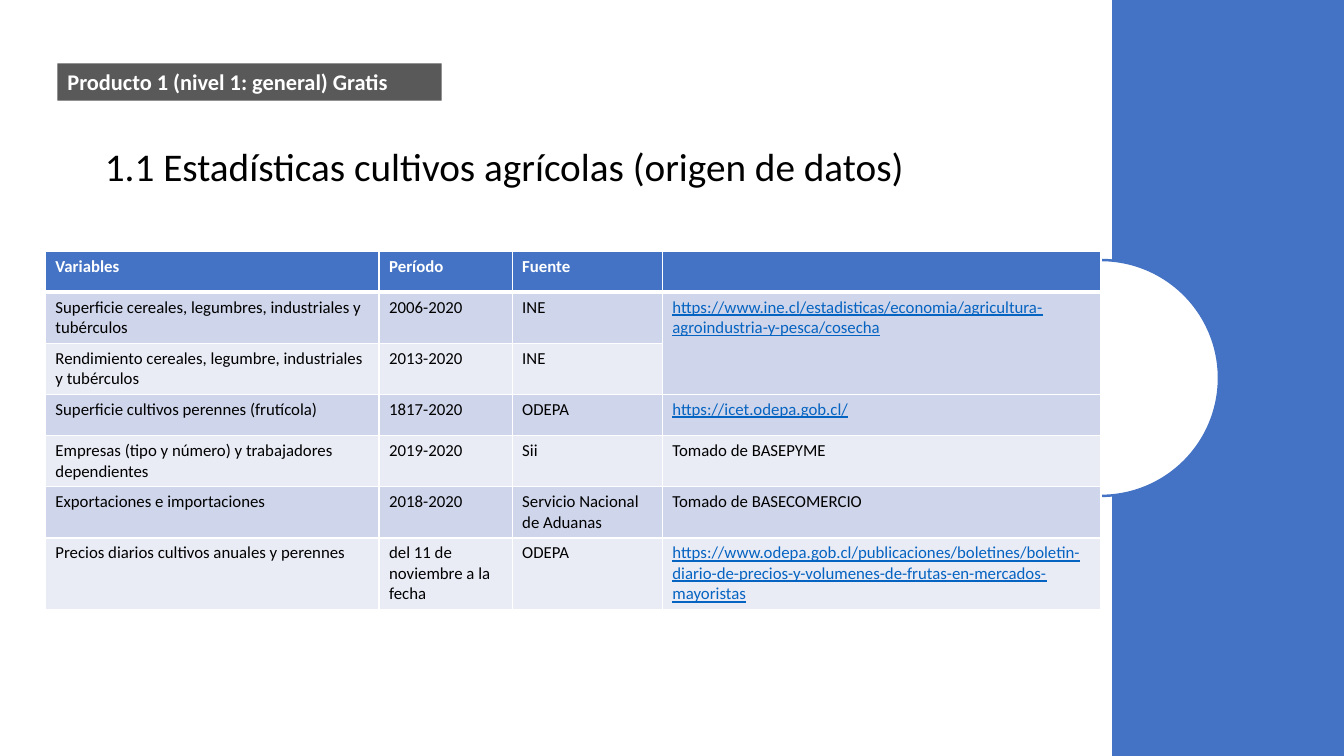
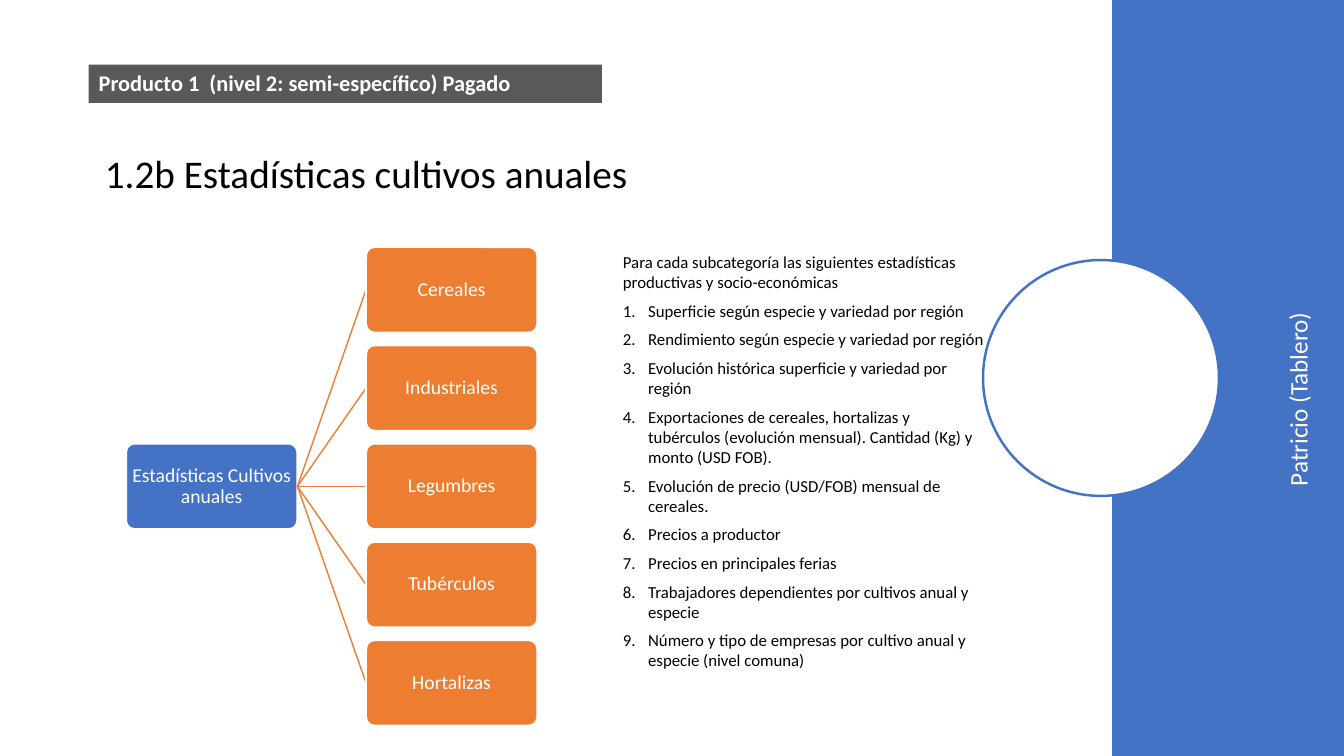
from dataclasses import dataclass
from typing import NamedTuple

from lxml.etree import SubElement
from pptx import Presentation
from pptx.dml.color import RGBColor
from pptx.enum.shapes import MSO_CONNECTOR as Connector, MSO_SHAPE as Shape
from pptx.enum.text import MSO_ANCHOR as Anchor, PP_ALIGN as Align
from pptx.oxml import parse_xml
from pptx.oxml.ns import nsdecls, qn
from pptx.util import Emu, Pt

PX = 9144  # EMU in one px, 100 px to the inch
TITLE_ONLY = 5


@dataclass(frozen=True)
class Theme:
    font: str = "Calibri"
    blue: str = "4472C4"
    orange: str = "ED7D31"
    gray: str = "595959"
    band_dark: str = "CFD5EA"
    band_light: str = "E9EBF5"
    link: str = "0563C1"
    white: str = "FFFFFF"
    black: str = "000000"
    title_size: int = 28
    side_size: int = 18
    label_size: int = 16
    node_size: int = 14
    body_size: int = 12


class Box(NamedTuple):
    left: int
    top: int
    width: int
    height: int

    @property
    def right(self):
        return self.left + self.width

    @property
    def middle(self):
        return self.top + self.height / 2


THEME = Theme()
SIDE_BAND = Box(1103, 0, 230, 750)
CIRCLE = Box(975, 258, 234, 234)

COLUMN_WIDTHS = (331, 132, 149, 435)
ROW_HEIGHT = 41
SOURCES = (
    ("Variables", "Período", "Fuente", ""),
    ("Superficie cereales, legumbres, industriales y tubérculos", "2006-2020", "INE",
     "https://www.ine.cl/estadisticas/economia/agricultura-agroindustria-y-pesca/cosecha"),
    ("Rendimiento cereales, legumbre, industriales y tubérculos", "2013-2020", "INE", ""),
    ("Superficie cultivos perennes (frutícola)", "1817-2020", "ODEPA",
     "https://icet.odepa.gob.cl/"),
    ("Empresas (tipo y número) y trabajadores dependientes", "2019-2020", "Sii",
     "Tomado de BASEPYME"),
    ("Exportaciones e importaciones", "2018-2020", "Servicio Nacional de Aduanas",
     "Tomado de BASECOMERCIO"),
    ("Precios diarios cultivos anuales y perennes", "del 11 de noviembre a la fecha", "ODEPA",
     "https://www.odepa.gob.cl/publicaciones/boletines/"
     "boletin-diario-de-precios-y-volumenes-de-frutas-en-mercados-mayoristas"),
)

CROP_GROUPS = ("Cereales", "Industriales", "Legumbres", "Tubérculos", "Hortalizas")
STATISTICS_INTRO = ("Para cada subcategoría las siguientes estadísticas "
                    "productivas y socio-económicas")
STATISTICS = (
    "Superficie según especie y variedad por región",
    "Rendimiento según especie y variedad por región",
    "Evolución histórica superficie y variedad por región",
    "Exportaciones de cereales, hortalizas y tubérculos (evolución mensual). "
    "Cantidad (Kg) y monto (USD FOB).",
    "Evolución de precio (USD/FOB) mensual de cereales.",
    "Precios a productor",
    "Precios en principales ferias",
    "Trabajadores dependientes por cultivos anual y especie",
    "Número y tipo de empresas por cultivo anual y especie (nivel comuna)",
)


# Shared helpers
def px(*lengths):
    return [Emu(round(length * PX)) for length in lengths]


def rgb(color):
    return RGBColor.from_string(color)


def style(paragraph, size, color, bold=False):
    font = paragraph.font
    font.name, font.size, font.bold = THEME.font, Pt(size), bold
    font.color.rgb = rgb(color)


def add_filled(slide, kind, box, fill, line=None, line_width=0):
    shape = slide.shapes.add_shape(kind, *px(*box))
    shape.shadow.inherit = False
    shape.fill.solid()
    shape.fill.fore_color.rgb = rgb(fill)
    if line:
        shape.line.color.rgb = rgb(line)
        shape.line.width = Pt(line_width)
    else:
        shape.line.fill.background()
    return shape


def add_text_box(slide, box):
    shape = slide.shapes.add_textbox(*px(*box))
    shape.text_frame.word_wrap = True
    return shape


# Parts found on every slide
def add_title(slide, box, text):
    title = slide.shapes.title
    title.left, title.top, title.width, title.height = px(*box)
    frame = title.text_frame
    frame.text = text
    frame.word_wrap = True
    frame.vertical_anchor = Anchor.MIDDLE
    paragraph = frame.paragraphs[0]
    paragraph.alignment = Align.LEFT
    paragraph.line_spacing = 0.9
    style(paragraph, THEME.title_size, THEME.black)


def add_side_decoration(slide):
    add_filled(slide, Shape.RECTANGLE, SIDE_BAND, THEME.blue)
    add_filled(slide, Shape.OVAL, CIRCLE, THEME.white, THEME.blue, 1.75)


def add_product_label(slide, box, text):
    label = add_filled(slide, Shape.RECTANGLE, box, THEME.gray)
    frame = label.text_frame
    frame.text = text
    frame.word_wrap = True
    frame.vertical_anchor = Anchor.TOP
    paragraph = frame.paragraphs[0]
    paragraph.alignment = Align.LEFT
    paragraph.space_after = Pt(6)
    style(paragraph, THEME.label_size, THEME.white, bold=True)


# Table of data sources
def set_borders(cell, top, bottom):
    properties = cell._tc.get_or_add_tcPr()
    widths = (("L", 1), ("R", 1), ("T", top), ("B", bottom))
    for position, (side, width) in enumerate(widths):
        properties.insert(position, parse_xml(
            f'<a:ln{side} {nsdecls("a")} w="{Pt(width)}"><a:solidFill>'
            f'<a:srgbClr val="{THEME.white}"/></a:solidFill></a:ln{side}>'))


def add_source_table(slide, left, top):
    rows, columns = len(SOURCES), len(COLUMN_WIDTHS)
    box = Box(left, top, sum(COLUMN_WIDTHS), rows * ROW_HEIGHT)
    table = slide.shapes.add_table(rows, columns, *px(*box)).table
    for column, width in zip(table.columns, px(*COLUMN_WIDTHS)):
        column.width = width
    for row_index, values in enumerate(SOURCES):
        header = row_index == 0
        band = THEME.band_dark if row_index % 2 else THEME.band_light
        for column_index, value in enumerate(values):
            cell = table.cell(row_index, column_index)
            cell.text = value
            cell.fill.solid()
            cell.fill.fore_color.rgb = rgb(THEME.blue if header else band)
            set_borders(cell, top=3 if row_index == 1 else 1, bottom=3 if header else 1)
            is_link = value.startswith("https")
            color = THEME.white if header else THEME.link if is_link else THEME.black
            paragraph = cell.text_frame.paragraphs[0]
            style(paragraph, THEME.body_size, color, bold=header)
            paragraph.font.underline = is_link
    table.cell(1, 3).merge(table.cell(2, 3))


# Tree of crop groups
def add_node(slide, box, text, fill):
    node = add_filled(slide, Shape.ROUNDED_RECTANGLE, box, fill, THEME.white, 1.5)
    node.adjustments[0] = 0.1
    frame = node.text_frame
    frame.text = text
    frame.word_wrap = True
    frame.vertical_anchor = Anchor.MIDDLE
    frame.margin_left, frame.margin_top, frame.margin_right, frame.margin_bottom = px(1, 1, 1, 1)
    paragraph = frame.paragraphs[0]
    paragraph.alignment = Align.CENTER
    paragraph.line_spacing = 0.9
    style(paragraph, THEME.node_size, THEME.white)


def add_branch(slide, parent, child):
    branch = slide.shapes.add_connector(
        Connector.STRAIGHT, *px(parent.right, parent.middle, child.left, child.middle))
    branch.line.color.rgb = rgb(THEME.orange)
    branch.line.width = Pt(1)
    SubElement(branch._element.spPr, qn("a:effectLst"))


def add_crop_tree(slide, box):
    width, height = 170, 85
    step = (box.height - height) / (len(CROP_GROUPS) - 1)
    root = Box(box.left, box.top + (box.height - height) / 2, width, height)
    add_node(slide, root, "Estadísticas Cultivos anuales", THEME.blue)
    for index, group in enumerate(CROP_GROUPS):
        child = Box(box.right - width, box.top + index * step, width, height)
        add_branch(slide, root, child)
        add_node(slide, child, group, THEME.orange)


# Numbered statistics
def add_statistics(slide, box):
    frame = add_text_box(slide, box).text_frame
    frame.text = "\n".join((STATISTICS_INTRO, *STATISTICS))
    for index, paragraph in enumerate(frame.paragraphs):
        paragraph.space_after = Pt(6)
        style(paragraph, THEME.body_size, THEME.black)
        if index:
            properties = paragraph._p.get_or_add_pPr()
            indent = 25 * PX
            properties.set("marL", str(indent))
            properties.set("indent", str(-indent))
            numbering = parse_xml(f'<a:buAutoNum {nsdecls("a")} type="arabicPeriod"/>')
            properties.find(qn("a:spcAft")).addnext(numbering)


def add_side_note(slide, box, text):
    note = add_text_box(slide, box)
    note.rotation = 270
    note.text_frame.text = text
    paragraph = note.text_frame.paragraphs[0]
    paragraph.space_after = Pt(6)
    style(paragraph, THEME.side_size, THEME.white)


# Slides
def build_sources_slide(presentation):
    slide = presentation.slides.add_slide(presentation.slide_layouts[TITLE_ONLY])
    add_title(slide, Box(94, 123, 817, 88), "1.1 Estadísticas cultivos agrícolas (origen de datos)")
    add_side_decoration(slide)
    add_product_label(slide, Box(57, 63, 381, 37), "Producto 1 (nivel 1: general) Gratis")
    add_source_table(slide, 45, 249)


def build_annual_crops_slide(presentation):
    slide = presentation.slides.add_slide(presentation.slide_layouts[TITLE_ONLY])
    add_title(slide, Box(94, 124, 817, 100), "1.2b Estadísticas cultivos anuales")
    add_statistics(slide, Box(608, 245, 379, 454))
    add_side_decoration(slide)
    add_product_label(slide, Box(88, 64, 509, 38), "Producto 1  (nivel 2: semi-específico) Pagado")
    add_side_note(slide, Box(1141, 326, 292, 40), "Patricio (Tablero)")
    add_crop_tree(slide, Box(125, 245, 408, 475))


def main():
    presentation = Presentation()
    presentation.slide_width, presentation.slide_height = px(1333, 750)
    build_sources_slide(presentation)
    build_annual_crops_slide(presentation)
    presentation.save("out.pptx")


if __name__ == "__main__":
    main()
